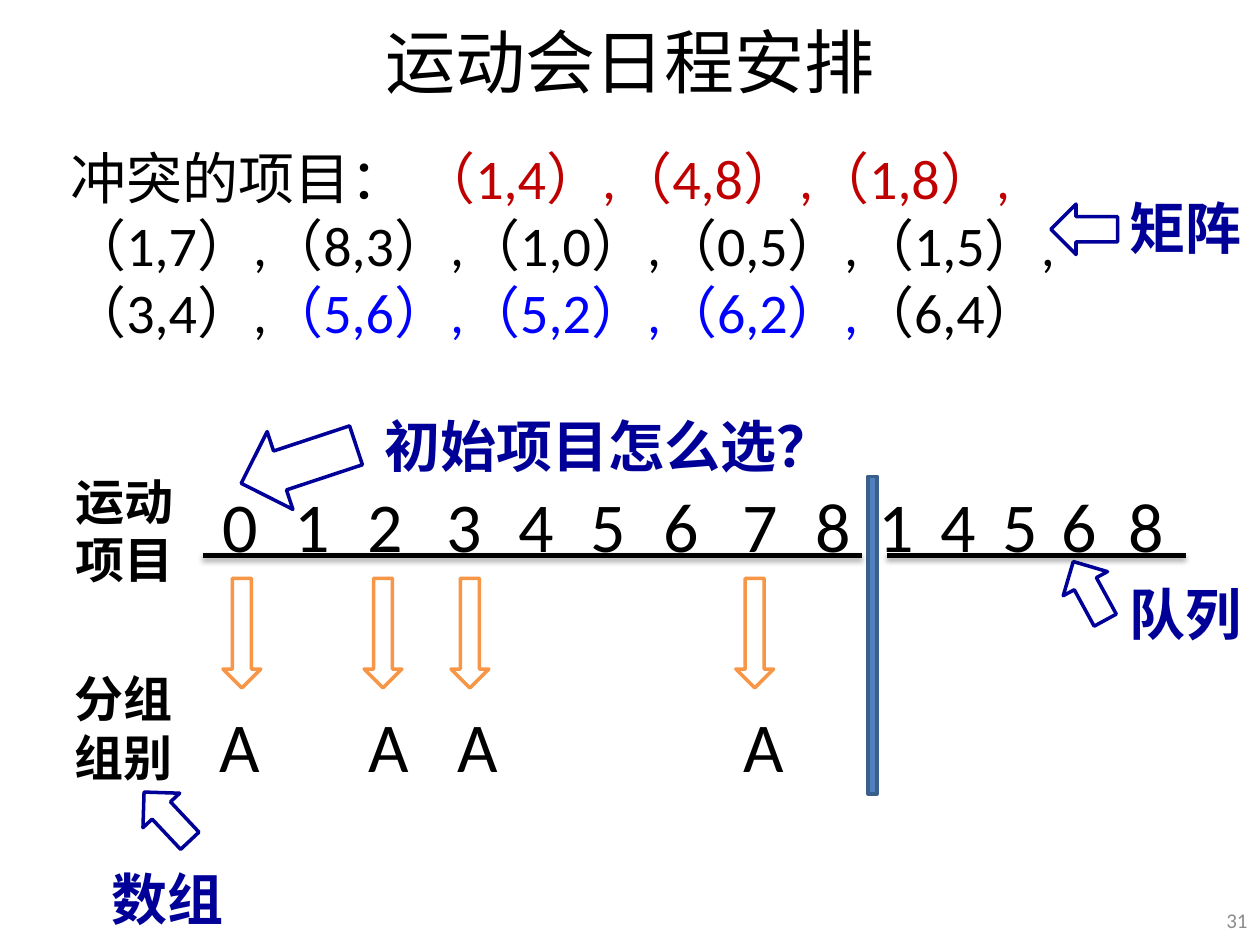
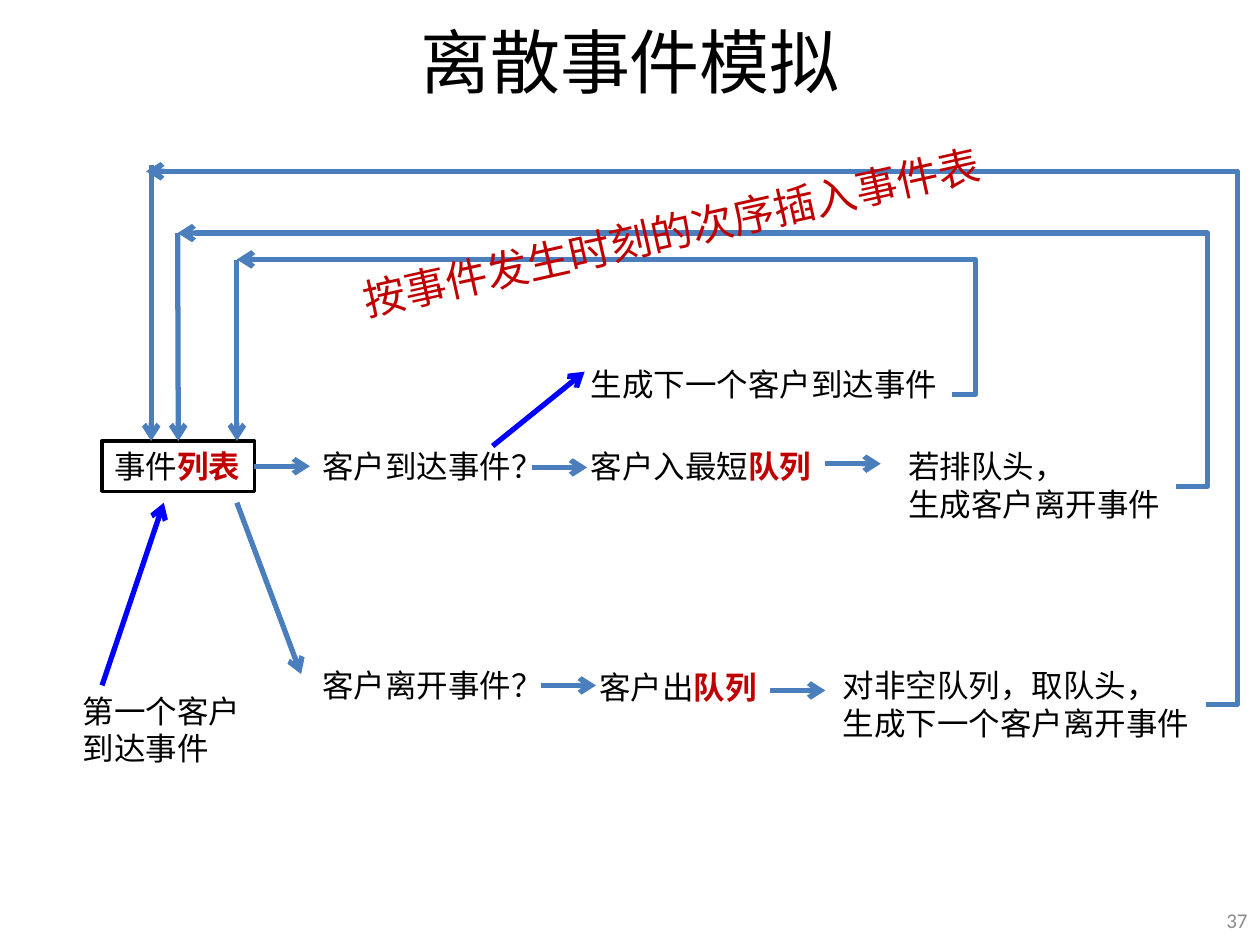
from dataclasses import dataclass
from typing import Any, Optional

from lxml.etree import SubElement
from pptx import Presentation
from pptx.dml.color import RGBColor
from pptx.enum.shapes import MSO_CONNECTOR, MSO_SHAPE
from pptx.enum.text import MSO_ANCHOR, MSO_AUTO_SIZE, PP_ALIGN
from pptx.oxml.ns import qn
from pptx.shapes.autoshape import Shape
from pptx.shapes.connector import Connector
from pptx.slide import Slide
from pptx.util import Inches, Pt

FONT = "Calibri"
BLACK, WHITE, GRAY = "000000", "FFFFFF", "8C8C8C"
RED, BLUE, NAVY = "C00000", "0000FF", "000099"
ORANGE, STEEL, BAR_FILL, BAR_LINE = "F79646", "4B7EBC", "4F81BD", "3A5F8C"
CENTER, RIGHT = PP_ALIGN.CENTER, PP_ALIGN.RIGHT


@dataclass(frozen=True)
class Run:
    """A stretch of text with one colour and weight; a newline starts a paragraph."""
    text: str
    color: str = BLACK
    bold: bool = False


@dataclass(frozen=True)
class Label:
    """A text box, or an outlined rectangle when an outline is given."""
    left: float
    top: float
    width: float
    height: float
    runs: tuple[Run, ...]
    size: float
    align: PP_ALIGN = PP_ALIGN.LEFT
    wrap: bool = False
    grow: bool = True
    anchor: MSO_ANCHOR = MSO_ANCHOR.TOP
    rotation: float = 0
    outline: Optional[str] = None


@dataclass(frozen=True)
class Block:
    """A filled preset shape."""
    kind: MSO_SHAPE
    left: float
    top: float
    width: float
    height: float
    fill: str
    line: str
    rotation: float = 0


@dataclass(frozen=True)
class Link:
    """A line between two points; a bend makes it an elbow."""
    start: tuple[float, float]
    end: tuple[float, float]
    color: str = STEEL
    arrow: bool = True
    shadow: bool = False
    bend: Optional[float] = None


def rgb(color: str) -> RGBColor:
    """Turn a hex string into a colour."""
    return RGBColor.from_string(color)


def apply_format(target: Any, values: dict[str, Any]) -> None:
    """Set each named attribute on the target."""
    for name, value in values.items():
        setattr(target, name, value)


def outline_shape(shape: Any, color: str, width: float) -> None:
    """Give a shape or connector a solid line."""
    shape.line.color.rgb = rgb(color)
    shape.line.width = Pt(width)


def write_runs(shape: Shape, label: Label) -> None:
    """Write the runs of a label into a shape."""
    frame = shape.text_frame
    apply_format(frame, {
        "word_wrap": label.wrap,
        "vertical_anchor": label.anchor,
        "auto_size": MSO_AUTO_SIZE.SHAPE_TO_FIT_TEXT if label.grow else MSO_AUTO_SIZE.NONE,
    })
    paragraph = frame.paragraphs[0]
    paragraph.alignment = label.align
    for run in label.runs:
        for index, text in enumerate(run.text.split("\n")):
            if index:
                paragraph = frame.add_paragraph()
                paragraph.alignment = label.align
            piece = paragraph.add_run()
            piece.text = text
            apply_format(piece.font, {"name": FONT, "size": Pt(label.size), "bold": run.bold})
            piece.font.color.rgb = rgb(run.color)


def add_label(slide: Slide, label: Label) -> Shape:
    """Draw a label."""
    place = [Inches(value) for value in (label.left, label.top, label.width, label.height)]
    if label.outline:
        shape = slide.shapes.add_shape(MSO_SHAPE.RECTANGLE, *place)
        shape.shadow.inherit = False
        shape.fill.background()
        outline_shape(shape, label.outline, 2)
    else:
        shape = slide.shapes.add_textbox(*place)
    write_runs(shape, label)
    shape.rotation = label.rotation
    return shape


def add_block(slide: Slide, block: Block) -> None:
    """Draw a filled preset shape."""
    place = [Inches(value) for value in (block.left, block.top, block.width, block.height)]
    shape = slide.shapes.add_shape(block.kind, *place)
    shape.shadow.inherit = False
    shape.fill.solid()
    shape.fill.fore_color.rgb = rgb(block.fill)
    outline_shape(shape, block.line, 2)
    shape.rotation = block.rotation


def add_link(slide: Slide, link: Link) -> Connector:
    """Draw a connector with its arrowhead, bend and shadow."""
    kind = MSO_CONNECTOR.STRAIGHT if link.bend is None else MSO_CONNECTOR.ELBOW
    points = [Inches(value) for value in (*link.start, *link.end)]
    connector = slide.shapes.add_connector(kind, *points)
    outline_shape(connector, link.color, 3)
    properties = connector._element.spPr
    if link.bend is not None:
        geometry = properties.find(qn("a:prstGeom"))
        adjustments = geometry.find(qn("a:avLst"))
        if adjustments is None:
            adjustments = SubElement(geometry, qn("a:avLst"))
        SubElement(adjustments, qn("a:gd"), name="adj1", fmla=f"val {round(link.bend * 100000)}")
    if link.arrow:
        SubElement(properties.find(qn("a:ln")), qn("a:tailEnd"), type="arrow")
    effects = SubElement(properties, qn("a:effectLst"))
    if link.shadow:
        shadow = SubElement(effects, qn("a:outerShdw"), blurRad=str(int(Pt(3.1))),
                            dist=str(int(Pt(1.8))), dir="5400000", rotWithShape="0")
        color = SubElement(shadow, qn("a:srgbClr"), val=BLACK)
        SubElement(color, qn("a:alpha"), val="35000")
    return connector


def add_page(presentation: Any, title: str, number: int) -> Slide:
    """Add a blank slide with the shared title and page number."""
    slide = presentation.slides.add_slide(presentation.slide_layouts[6])
    shared = {"wrap": True, "grow": False, "anchor": MSO_ANCHOR.MIDDLE}
    add_label(slide, Label(0.5, -0.03, 9, 1.02, (Run(title),), 40, CENTER, **shared))
    add_label(slide, Label(9.57, 7.1, 0.43, 0.4, (Run(str(number), GRAY),), 12, RIGHT, **shared))
    return slide


def build_schedule(presentation: Any) -> None:
    """Build the sports schedule slide."""
    slide = add_page(presentation, "运动会日程安排", 31)
    event_lefts = (1.66, 2.23, 2.81, 3.44, 4.01, 4.58, 5.16, 5.79, 6.37)
    queue_lefts = (6.87, 7.36, 7.85, 8.32, 8.85)
    for digit, left in zip("01234567814568", event_lefts + queue_lefts):
        add_label(slide, Label(left, 3.78, 0.49, 0.77, (Run(digit),), 40, CENTER))
    for text, left, top in (("运动项目", 0.5, 3.69), ("分组组别", 0.49, 5.26)):
        add_label(slide, Label(left, top, 1.05, 1.04, (Run(text, bold=True),), 28, wrap=True))
    for arrow_left, group_left in ((1.77, 1.64), (2.89, 2.82), (3.58, 3.53), (5.84, 5.8)):
        add_block(slide, Block(MSO_SHAPE.DOWN_ARROW, arrow_left, 4.59, 0.3, 0.87, WHITE, ORANGE))
        add_label(slide, Label(group_left, 5.53, 0.53, 0.77, (Run("A"),), 40, CENTER))
    conflicts = (
        Run("冲突的项目："),
        Run(" （1,4）,（4,8）,（1,8）,", RED),
        Run("（1,7）,（8,3）,（1,0）,（0,5）,（1,5）,（3,4）,"),
        Run("（5,6）,（5,2）,（6,2）,", BLUE),
        Run("（6,4）"),
    )
    add_label(slide, Label(0.46, 1.09, 8.63, 1.72, conflicts, 32, wrap=True))
    add_block(slide, Block(MSO_SHAPE.RECTANGLE, 6.89, 3.78, 0.07, 2.52, BAR_FILL, BAR_LINE))
    hints = (("矩阵", 8.87, 1.49, 1.1), ("数组", 0.79, 6.81, 1.1),
             ("队列", 8.87, 4.55, 1.1), ("初始项目怎么选？", 2.95, 3.22, 3.88))
    for text, left, top, width in hints:
        add_label(slide, Label(left, top, width, 0.64, (Run(text, NAVY, True),), 32,
                               wrap=width > 2))
    pointers = ((8.34, 1.62, 0.53, 0.4, 0), (1.06, 6.28, 0.53, 0.4, 46.8),
                (8.38, 4.49, 0.53, 0.4, 61.4), (1.89, 3.36, 0.96, 0.65, 341.7))
    for *place, rotation in pointers:
        add_block(slide, Block(MSO_SHAPE.LEFT_ARROW, *place, WHITE, NAVY, rotation))
    for start, end in ((1.61, 6.84), (7.04, 9.41)):
        add_link(slide, Link((start, 4.41), (end, 4.41), BLACK, arrow=False, shadow=True))


def build_simulation(presentation: Any) -> None:
    """Build the discrete event simulation slide."""
    slide = add_page(presentation, "离散事件模拟", 37)
    queue = Run("队列", RED, True)
    event_list = add_label(slide, Label(0.81, 3.5, 1.21, 0.4,
                                        (Run("事件"), Run("列表", RED, True)), 18, outline=BLACK))
    arrival = add_label(slide, Label(2.46, 3.5, 1.97, 0.4, (Run("客户到达事件？"),), 18))
    steps = (
        (2.46, 5.24, 1.97, 0.4, (Run("客户离开事件？"),)),
        (4.66, 5.25, 1.46, 0.4, (Run("客户出"), queue)),
        (6.59, 5.24, 2.98, 0.71, (Run("对非空队列，取队头，\n生成下一个客户离开事件"),)),
        (4.59, 3.5, 1.97, 0.4, (Run("客户入最短"), queue)),
        (7.11, 3.5, 2.22, 0.71, (Run("若排队头，\n生成客户离开事件"),)),
        (4.59, 2.85, 2.98, 0.4, (Run("生成下一个客户到达事件"),)),
        (0.56, 5.44, 1.46, 0.71, (Run("第一个客户\n到达事件"),)),
    )
    for step in steps:
        add_label(slide, Label(*step, 18))

    list_to_arrival = add_link(slide, Link((2.02, 3.7), (2.46, 3.7)))
    list_to_arrival.begin_connect(event_list, 3)
    list_to_arrival.end_connect(arrival, 1)
    for left, top in ((4.22, 3.71), (6.55, 3.68), (4.29, 5.44), (6.11, 5.48)):
        add_link(slide, Link((left, top), (left + 0.44, top)))
    add_link(slide, Link((1.88, 3.99), (2.39, 5.35)))

    returns = (((9.33, 3.86), (1.41, 1.85), -0.032), ((7.56, 3.13), (1.88, 2.06), -0.032),
               ((9.57, 5.59), (1.16, 1.36), -0.03))
    for start, end, bend in returns:
        add_link(slide, Link(start, end, bend=bend))
    for left, top in ((1.88, 2.06), (1.2, 1.31)):
        add_link(slide, Link((left, top), (left, 3.5)))
    middle_drop = add_link(slide, Link((1.41, 1.85), (1.41, 3.5)))
    middle_drop.end_connect(event_list, 0)
    for start, end in (((3.91, 3.54), (4.64, 2.95)), ((0.81, 5.44), (1.3, 3.99))):
        add_link(slide, Link(start, end, BLUE))
    add_label(slide, Label(2.73, 1.58, 5.25, 0.5,
                           (Run("按事件发生时刻的次序插入事件表", RED),), 24, rotation=347.3))


def main() -> None:
    """Build and save both slides."""
    presentation = Presentation()
    apply_format(presentation, {"slide_width": Inches(10), "slide_height": Inches(7.5)})
    build_schedule(presentation)
    build_simulation(presentation)
    presentation.save("out.pptx")


if __name__ == "__main__":
    main()
